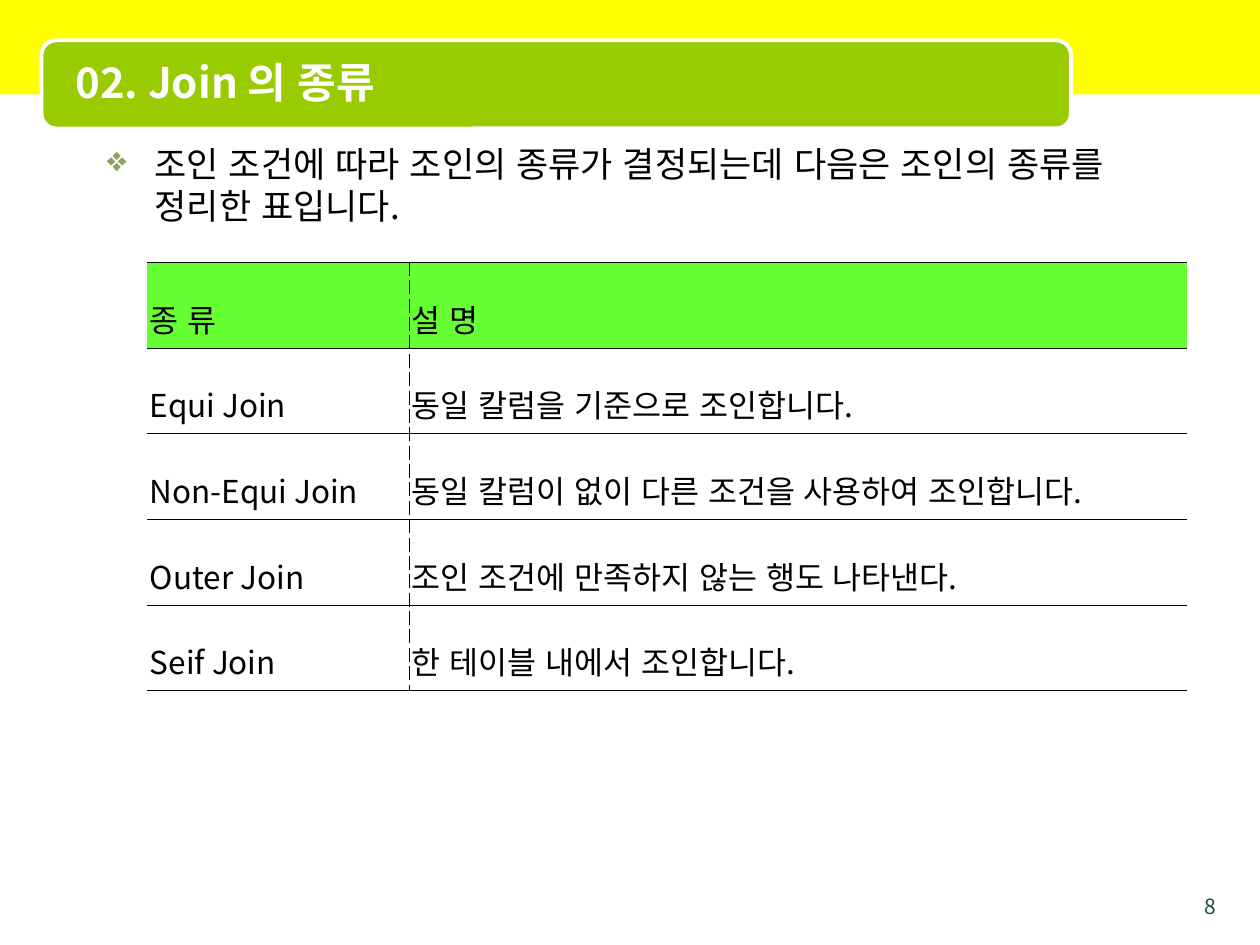
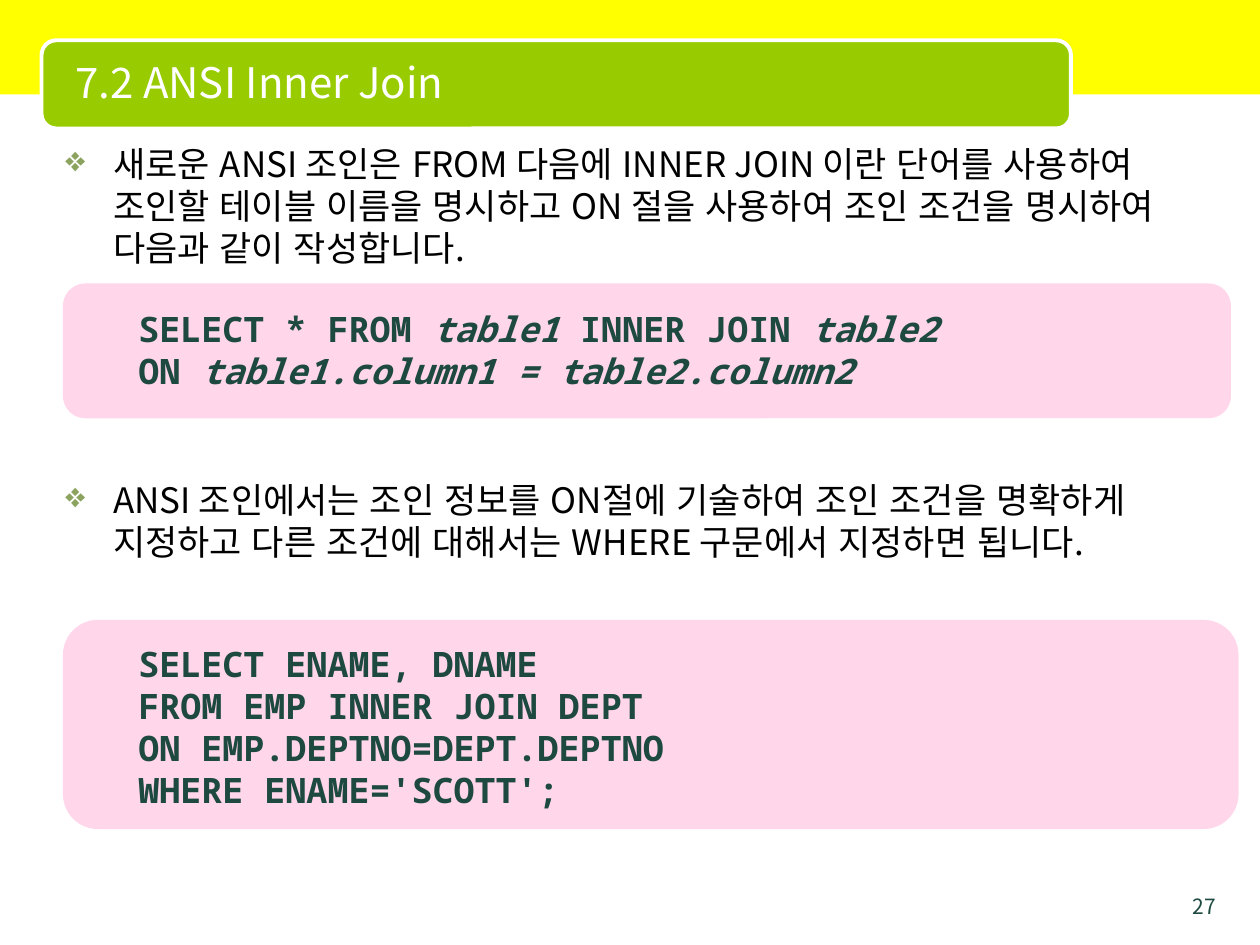
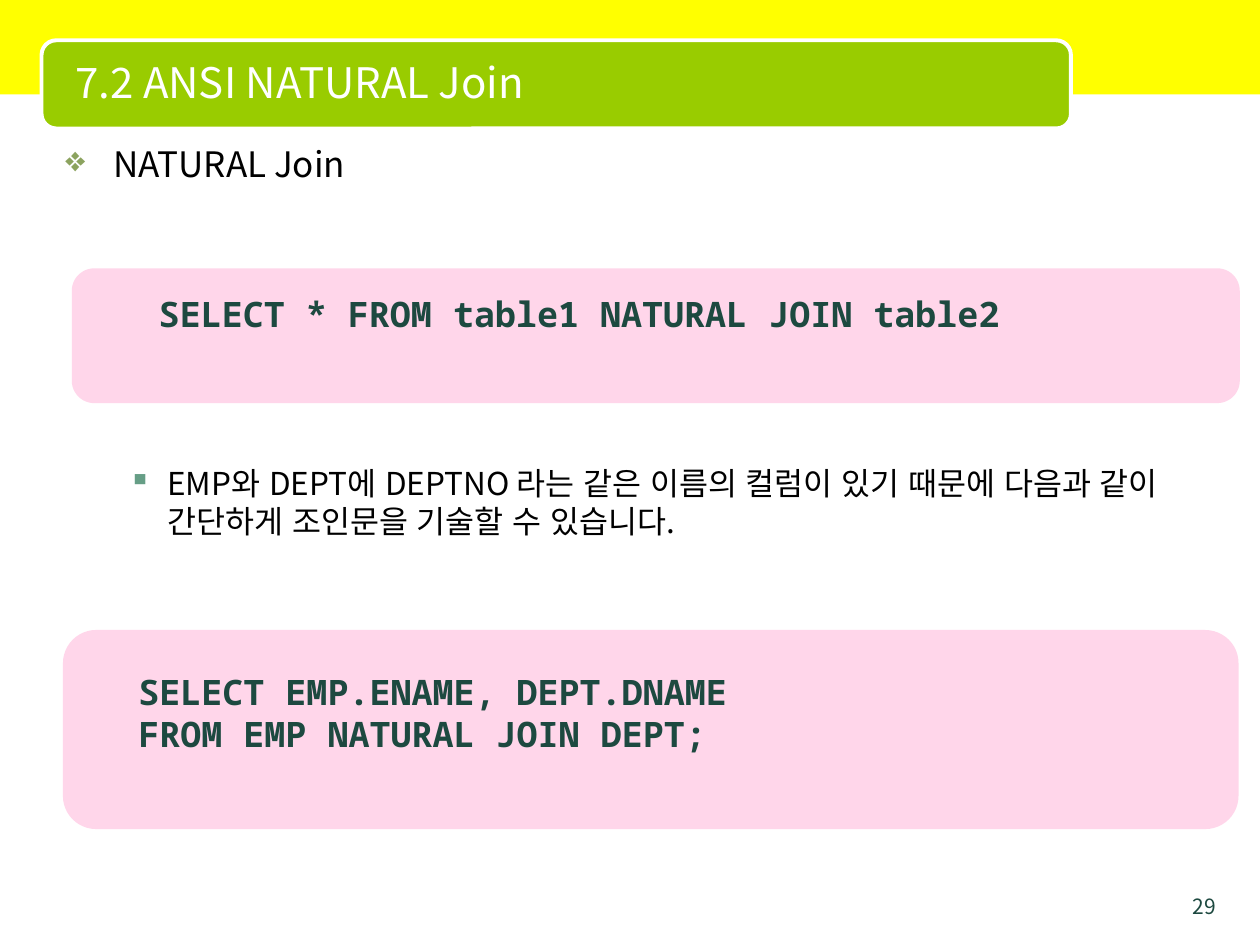
from lxml import etree
from pptx import Presentation
from pptx.dml.color import RGBColor
from pptx.enum.lang import MSO_LANGUAGE_ID
from pptx.enum.shapes import MSO_SHAPE
from pptx.enum.text import MSO_ANCHOR, PP_ALIGN
from pptx.oxml.ns import qn
from pptx.util import Inches, Pt

RECTANGLE, ROUNDED = MSO_SHAPE.RECTANGLE, MSO_SHAPE.ROUNDED_RECTANGLE
LEFT, CENTER, RIGHT, JUSTIFY = PP_ALIGN.LEFT, PP_ALIGN.CENTER, PP_ALIGN.RIGHT, PP_ALIGN.JUSTIFY
TOP, MIDDLE = MSO_ANCHOR.TOP, MSO_ANCHOR.MIDDLE
KOREAN = MSO_LANGUAGE_ID.KOREAN

WHITE = RGBColor(0xFF, 0xFF, 0xFF)
BLACK = RGBColor(0x00, 0x00, 0x00)
YELLOW = RGBColor(0xFF, 0xFF, 0x00)
TITLE_GREEN = RGBColor(0x99, 0xCC, 0x00)
HEADER_GREEN = RGBColor(0x66, 0xFF, 0x33)
DARK_GREEN = RGBColor(0x1D, 0x49, 0x40)
PINK = RGBColor(0xFF, 0x99, 0xCC)
OLIVE = RGBColor(0x8C, 0xA3, 0x5F)
TEAL = RGBColor(0x66, 0x9E, 0x86)

SANS, MONO, BULLET_FONT = "Noto Sans CJK KR", "Noto Sans Mono", "OpenSymbol"

# Bullet levels: character, colour, left indent, hanging indent, text size
MAIN = ("❖", OLIVE, 0.38, 0.38, 20)
SUB = ("▪", TEAL, 0.81, 0.31, 18)


def add_panel(slide, kind, box, color):
    shape = slide.shapes.add_shape(kind, *map(Inches, box))
    shape.shadow.inherit = False
    shape.fill.solid()
    shape.fill.fore_color.rgb = color
    shape.line.fill.background()
    return shape


def write_text(frame, paragraphs, size=20, color=BLACK, font=SANS, bold=False, align=LEFT,
               anchor=TOP, spacing=None, bullet=None, before=0):
    """Add paragraphs, each a string or a list of (text, italic) runs."""
    frame.word_wrap = True
    frame.vertical_anchor = anchor
    frame.margin_left = frame.margin_right = Inches(0.1)
    frame.margin_top = frame.margin_bottom = Inches(0.05)
    for content in paragraphs:
        paragraph = frame.paragraphs[0]
        if paragraph.runs:
            paragraph = frame.add_paragraph()
        paragraph.alignment = align
        paragraph.line_spacing = spacing or Pt(size * 1.2)
        paragraph.space_before = Pt(before)
        if bullet:
            character, bullet_color, indent, hanging, _ = bullet
            properties = paragraph._p.get_or_add_pPr()
            properties.set("marL", str(Inches(indent)))
            properties.set("indent", str(-Inches(hanging)))
            bullet_fill = etree.SubElement(properties, qn("a:buClr"))
            etree.SubElement(bullet_fill, qn("a:srgbClr"), val=str(bullet_color))
            etree.SubElement(properties, qn("a:buFont"), typeface=BULLET_FONT)
            etree.SubElement(properties, qn("a:buChar"), char=character)
        for text, italic in [(content, False)] if isinstance(content, str) else content:
            run = paragraph.add_run()
            run.text = text
            run.font.name, run.font.size = font, Pt(size)
            run.font.bold, run.font.italic = bold, italic
            run.font.color.rgb = color
            run.font.language_id = KOREAN
            etree.SubElement(run.font._element, qn("a:ea"), typeface=font)


# Bullets: level, space before, text. Code: panel box, text top, alignment, lines.
SLIDES = [
    {
        "title": "02. Join 의 종류", "title_bold": True, "number": "8",
        "body": (0.75, 8.67),
        "bullets": [(MAIN, 0, "조인 조건에 따라 조인의 종류가 결정되는데 다음은 조인의 종류를 정리한 표입니다.")],
        "codes": [],
    },
    {
        "title": "7.2 ANSI Inner Join", "title_bold": False, "number": "27",
        "body": (0.42, 9),
        "bullets": [
            (MAIN, 0, "새로운 ANSI 조인은 FROM 다음에 INNER JOIN 이란 단어를 사용하여 조인할 테이블 이름을 "
                      "명시하고 ON 절을 사용하여 조인 조건을 명시하여 다음과 같이 작성합니다."),
            (MAIN, 120, "ANSI 조인에서는 조인 정보를 ON절에 기술하여 조인 조건을 명확하게 지정하고 "
                        "다른 조건에 대해서는 WHERE 구문에서 지정하면 됩니다."),
        ],
        "codes": [
            ((0.5, 2.25, 9.27, 1.07), 2.39, LEFT, [
                [("SELECT * FROM ", False), ("table1", True), (" INNER JOIN ", False), ("table2", True)],
                [("ON ", False), ("table1.column1 = table2.column2", True)],
            ]),
            ((0.5, 4.92, 9.33, 1.66), 5.05, LEFT, [
                "SELECT ENAME, DNAME",
                "FROM EMP INNER JOIN DEPT",
                "ON EMP.DEPTNO=DEPT.DEPTNO",
                "WHERE ENAME='SCOTT';",
            ]),
        ],
    },
    {
        "title": "7.2 ANSI NATURAL Join", "title_bold": False, "number": "29",
        "body": (0.42, 9),
        "bullets": [
            (MAIN, 0, "NATURAL Join"),
            (SUB, 160, "EMP와 DEPT에 DEPTNO 라는 같은 이름의 컬럼이 있기 때문에 다음과 같이 "
                       "간단하게 조인문을 기술할 수 있습니다."),
        ],
        "codes": [
            ((0.57, 2.13, 9.27, 1.07), 2.27, CENTER, ["SELECT * FROM table1 NATURAL JOIN table2"]),
            ((0.5, 5, 9.33, 1.58), 5.27, LEFT, [
                "SELECT EMP.ENAME, DEPT.DNAME",
                "FROM EMP NATURAL JOIN DEPT;",
            ]),
        ],
    },
]

JOIN_TYPES = [
    ("종 류", "설 명"),
    ("Equi Join", "동일 칼럼을 기준으로 조인합니다."),
    ("Non-Equi Join", "동일 칼럼이 없이 다른 조건을 사용하여 조인합니다."),
    ("Outer Join", "조인 조건에 만족하지 않는 행도 나타낸다."),
    ("Seif Join", "한 테이블 내에서 조인합니다."),
]

presentation = Presentation()
presentation.slide_width, presentation.slide_height = Inches(10), Inches(7.5)
blank_layout = presentation.slide_layouts[6]

for content in SLIDES:
    slide = presentation.slides.add_slide(blank_layout)
    add_panel(slide, RECTANGLE, (0, 0, 10, 0.75), YELLOW)
    title_bar = add_panel(slide, ROUNDED, (0.33, 0.32, 8.17, 0.7), TITLE_GREEN)
    title_bar.line.color.rgb = WHITE
    title_bar.line.width = Pt(2.25)

    number_box = slide.shapes.add_textbox(Inches(9.25), Inches(7.04), Inches(0.5), Inches(0.21))
    write_text(number_box.text_frame, [content["number"]], size=12, color=DARK_GREEN, align=RIGHT)
    title_box = slide.shapes.add_textbox(Inches(0.5), Inches(0.34), Inches(7.92), Inches(0.62))
    write_text(title_box.text_frame, [content["title"]], size=24, color=WHITE,
               bold=content["title_bold"], anchor=MIDDLE)

    body_left, body_width = content["body"]
    body_box = slide.shapes.add_textbox(Inches(body_left), Inches(1.08), Inches(body_width), Inches(6.14))
    for level, before, text in content["bullets"]:
        write_text(body_box.text_frame, [text], size=level[-1], bullet=level, before=before)

    for panel_box, text_top, align, lines in content["codes"]:
        panel = add_panel(slide, ROUNDED, panel_box, PINK)
        panel_color = panel._element.spPr.find(qn("a:solidFill")).find(qn("a:srgbClr"))
        etree.SubElement(panel_color, qn("a:alpha"), val="40000")
        code_box = slide.shapes.add_textbox(Inches(panel_box[0] + 0.5), Inches(text_top),
                                            Inches(7.06), Inches(0.1 + len(lines) / 3))
        write_text(code_box.text_frame, lines, color=DARK_GREEN, font=MONO, bold=True, align=align)

table = presentation.slides[0].shapes.add_table(
    len(JOIN_TYPES), 2, Inches(1.17), Inches(2.08), Inches(8.25), Inches(3.4)).table
table.first_row = table.horz_banding = False
table.columns[0].width, table.columns[1].width = Inches(2.08), Inches(6.17)
for row, texts in enumerate(JOIN_TYPES):
    for column, text in enumerate(texts):
        cell = table.cell(row, column)
        write_text(cell.text_frame, [text], size=18, align=JUSTIFY, spacing=1.6)
        cell.vertical_anchor = TOP
        cell.margin_left = cell.margin_right = Inches(0.02)
        cell.margin_top = cell.margin_bottom = Inches(0.05)
        borders = {
            "a:lnL": (0.28 if column == 1 else 0, "dash"),
            "a:lnR": (0.28 if column == 0 else 0, "dash"),
            "a:lnT": (0.11, "solid"),
            "a:lnB": (0.11, "solid"),
        }
        for side, (width, dash) in borders.items():
            border = etree.SubElement(cell._tc.get_or_add_tcPr(), qn(side), w=str(Pt(width)))
            if width:
                border_fill = etree.SubElement(border, qn("a:solidFill"))
                etree.SubElement(border_fill, qn("a:srgbClr"), val=str(BLACK))
                etree.SubElement(border, qn("a:prstDash"), val=dash)
            else:
                etree.SubElement(border, qn("a:noFill"))
        cell.fill.solid()
        cell.fill.fore_color.rgb = HEADER_GREEN if row == 0 else WHITE

presentation.save("out.pptx")
